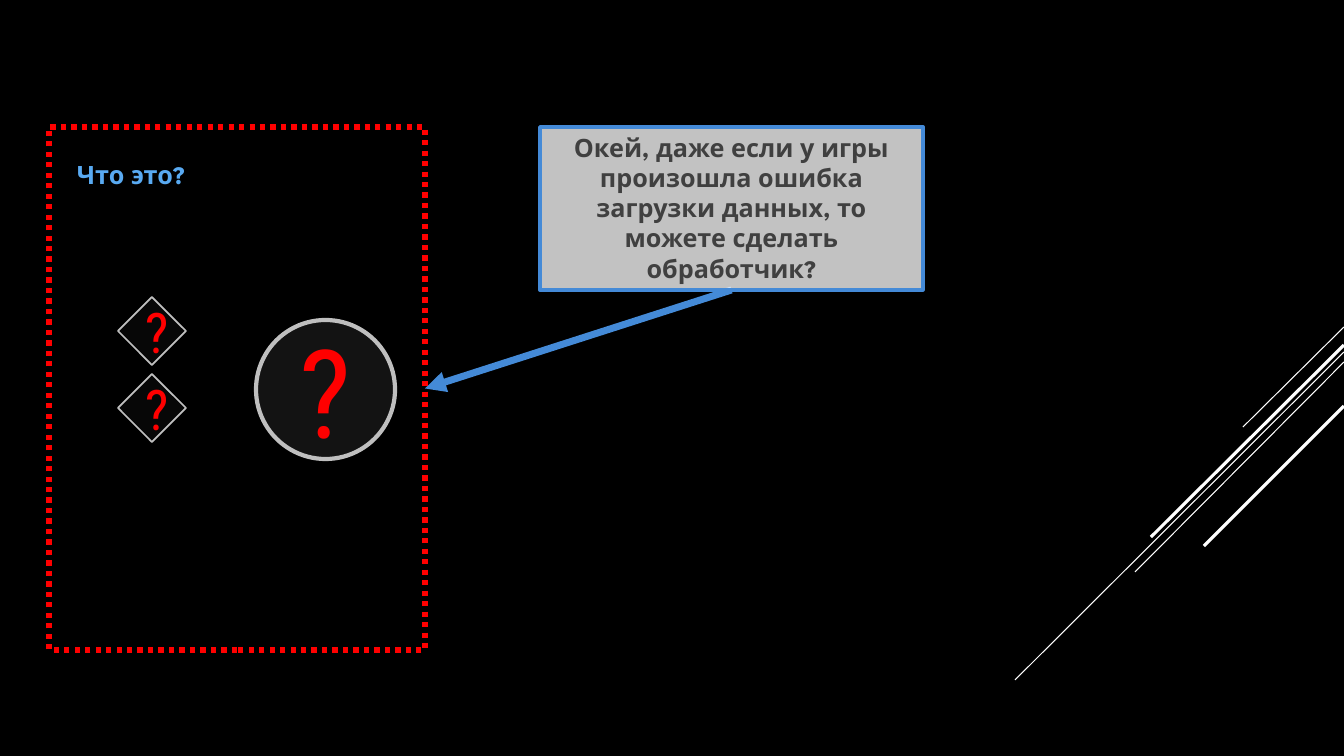
from lxml import etree
from pptx import Presentation
from pptx.dml.color import RGBColor
from pptx.enum.dml import MSO_LINE
from pptx.enum.shapes import MSO_CONNECTOR, MSO_SHAPE
from pptx.enum.text import MSO_ANCHOR, MSO_AUTO_SIZE, PP_ALIGN
from pptx.oxml.ns import qn
from pptx.util import Pt

PX = 914400 / 100.8
STRAIGHT = MSO_CONNECTOR.STRAIGHT
RECT, OVAL, DIAMOND = MSO_SHAPE.RECTANGLE, MSO_SHAPE.OVAL, MSO_SHAPE.DIAMOND
LEFT, CENTER = PP_ALIGN.LEFT, PP_ALIGN.CENTER
TOP, MIDDLE = MSO_ANCHOR.TOP, MSO_ANCHOR.MIDDLE
GROW = MSO_AUTO_SIZE.SHAPE_TO_FIT_TEXT
HEADING_FONT, SYMBOL_FONT = "League Spartan", "Roboto Condensed"
COLORS = {
    "black": "000000", "white": "FFFFFF", "title": "59AAF2", "blue": "448AD7",
    "text": "404040", "red": "FF0000", "dark": "262626", "grey": "BFBFBF",
}


def px(*values):
    return [round(v * PX) for v in values]


def write(sp, text, font=HEADING_FONT, size=18, color="text", bold=True,
          align=CENTER, anchor=TOP, wrap=True):
    tf = sp.text_frame
    tf.word_wrap = wrap
    tf.vertical_anchor = anchor
    p = tf.paragraphs[0]
    p.alignment = align
    r = p.add_run()
    r.text = text
    r.font.name, r.font.size, r.font.bold = font, Pt(size), bold
    r.font.color.rgb = RGBColor.from_string(COLORS[color])


prs = Presentation()
prs.slide_width, prs.slide_height = px(1344, 756)
s = prs.slides.add_slide(prs.slide_layouts[6])
s.background.fill.solid()
s.background.fill.fore_color.rgb = RGBColor.from_string(COLORS["black"])

# Diagonal decoration and the arrow: start, end, colour, width
lines = [
    (1344, 327, 1243, 427, "white", 0.75),
    (1344, 352, 1015, 680, "white", 0.75),
    (1344, 362, 1135, 572, "white", 0.75),
    (1344, 345, 1151, 537, "white", 2.25),
    (1344, 406, 1204, 546, "white", 2.25),
    (732, 290, 425, 388, "blue", 5),
]
connectors = []
for x1, y1, x2, y2, color, width in lines:
    line = s.shapes.add_connector(STRAIGHT, *px(x1, y1, x2, y2))
    line.line.color.rgb = RGBColor.from_string(COLORS[color])
    line.line.width = Pt(width)
    etree.SubElement(line._element.spPr, qn("a:effectLst"))
    connectors.append(line)
arrow = connectors[-1]
etree.SubElement(arrow.line._get_or_add_ln(), qn("a:tailEnd"), type="triangle")

title = s.shapes.add_textbox(*px(67, 154, 133, 40))
write(title, "Что это?", color="title", align=LEFT, wrap=False)
title.text_frame.auto_size = GROW

# Shapes: preset, left, top, width, height, fill, opacity %, line, line width
shapes = [
    (RECT, 540, 127, 383, 163, "white", 76, "blue", 2.5),
    (RECT, 49, 127, 376, 523, None, 0, "red", 3.75),
    (OVAL, 256, 320, 139, 139, "dark", 50, "grey", 3),
    (DIAMOND, 118, 297, 68, 68, "dark", 20, "grey", 1.25),
    (DIAMOND, 118, 374, 68, 68, "dark", 20, "grey", 1.25),
]
drawn = []
for preset, x, y, w, h, fill, opacity, color, width in shapes:
    sp = s.shapes.add_shape(preset, *px(x, y, w, h))
    sp.shadow.inherit = False
    if fill:
        sp.fill.solid()
        sp.fill.fore_color.rgb = RGBColor.from_string(COLORS[fill])
        rgb = sp._element.spPr.find(".//" + qn("a:srgbClr"))
        etree.SubElement(rgb, qn("a:alpha"), val=str(opacity * 1000))
    else:
        sp.fill.background()
    sp.line.color.rgb = RGBColor.from_string(COLORS[color])
    sp.line.width = Pt(width)
    drawn.append(sp)

callout, frame, *symbols = drawn
frame.line.dash_style = MSO_LINE.ROUND_DOT
arrow.begin_connect(callout, 2)
arrow.end_connect(frame, 3)

write(callout, "Окей, даже если у игры произошла ошибка загрузки данных, "
      "то можете сделать обработчик?")
callout.text_frame.auto_size = GROW
for sp, size in zip(symbols, (88, 40, 40)):
    write(sp, "?", font=SYMBOL_FONT, size=size, color="red", bold=False, anchor=MIDDLE)

prs.save("out.pptx")
